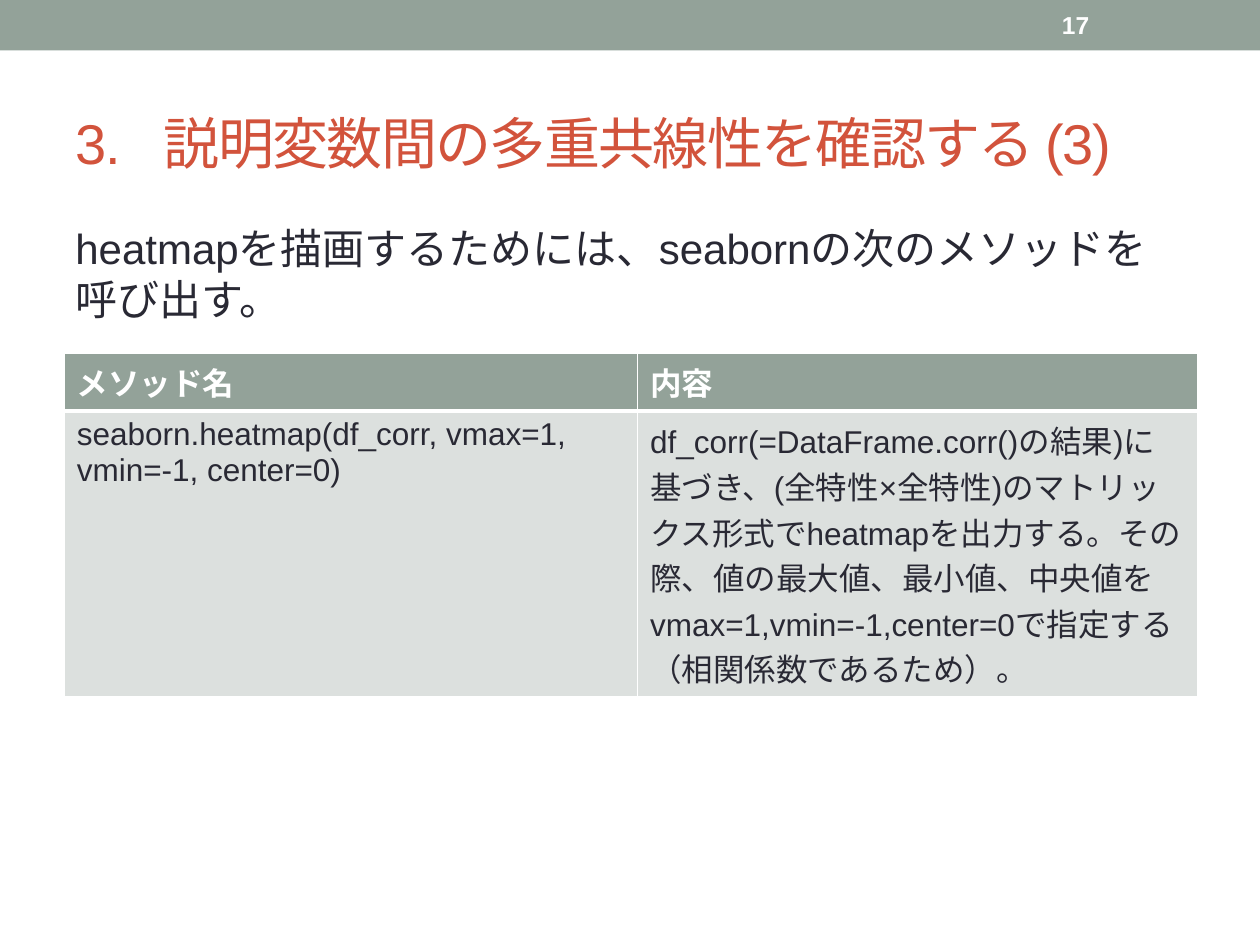
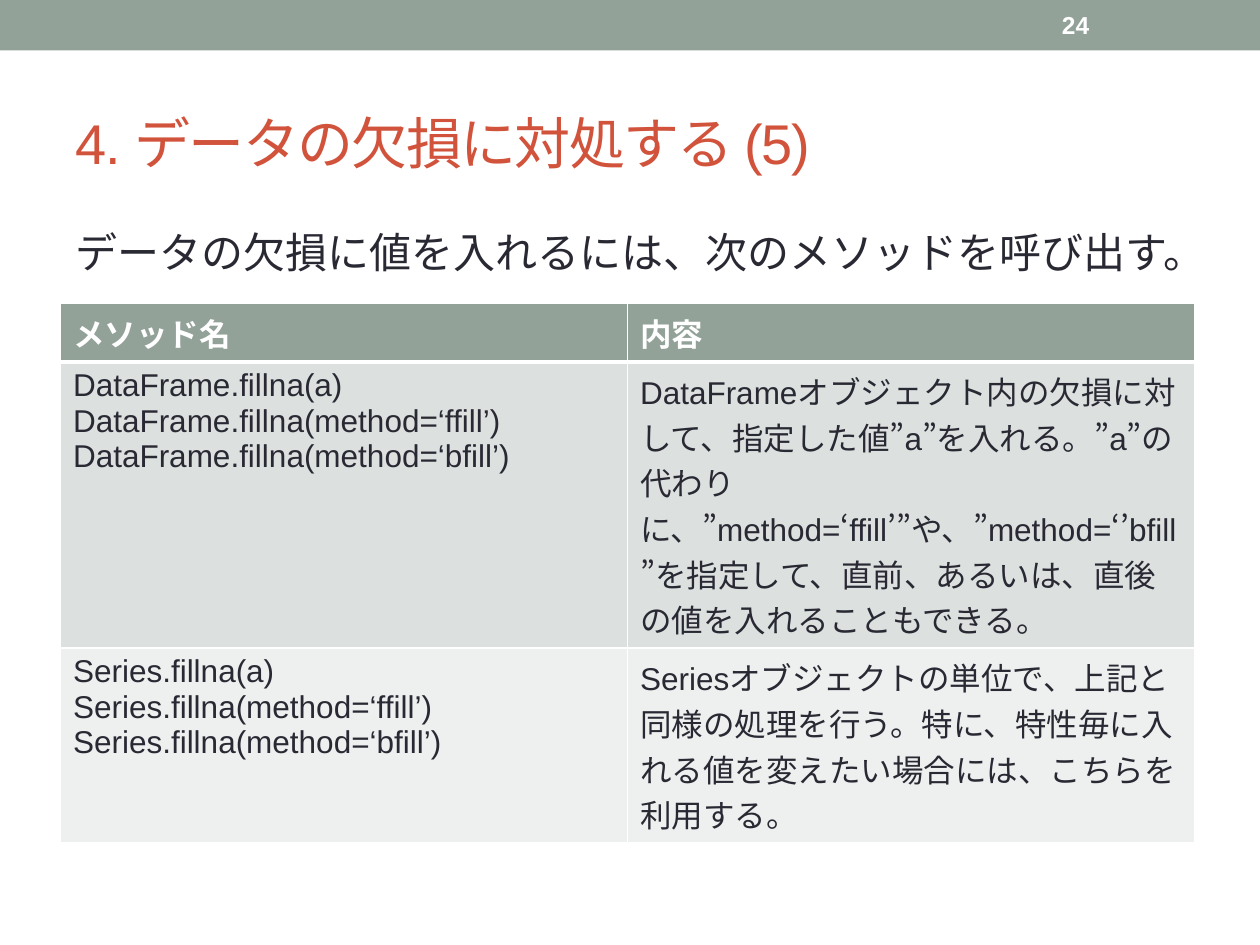
from lxml import etree
from pptx import Presentation, util as u
from pptx.dml.color import RGBColor
from pptx.enum import lang, shapes, text
from pptx.oxml.ns import qn

SAGE = RGBColor(0x93, 0xA2, 0x99)
RUST = RGBColor(0xD2, 0x53, 0x3C)
INK = RGBColor(0x29, 0x29, 0x34)
WHITE = RGBColor(0xFF, 0xFF, 0xFF)
ROWS = [RGBColor(0xDC, 0xE0, 0xDE), RGBColor(0xEE, 0xF0, 0xEF)]

HEAD = ["メソッド名", "内容"]
PAGES = [
    dict(
        num="17",
        title="3.\t説明変数間の多重共線性を確認する (3)",
        lead="heatmapを描画するためには、seabornの次のメソッドを呼び出す。",
        top=1.72, grid=(0.51, 2.8), cols=[4.55, 4.45], rows=[0.41, 1.17],
        body=[[
            ["seaborn.heatmap(df_corr, vmax=1, vmin=-1, center=0)"],
            ["df_corr(=DataFrame.corr()の結果)に基づき、(全特性×全特性)の"
             "マトリックス形式でheatmapを出力する。その際、値の最大値、最小値、"
             "中央値をvmax=1,vmin=-1,center=0で指定する（相関係数であるため）。"],
        ]],
    ),
    dict(
        num="24",
        title="4. データの欠損に対処する (5)",
        lead="データの欠損に値を入れるには、次のメソッドを呼び出す。",
        top=1.75, grid=(0.48, 2.41), cols=[4.5, 4.5], rows=[0.3, 0.88, 0.88],
        body=[
            [[f"{kind}.fillna(a)",
              f"{kind}.fillna(method=‘ffill’) {kind}.fillna(method=‘bfill’)"],
             [note]]
            for kind, note in [
                ("DataFrame",
                 "DataFrameオブジェクト内の欠損に対して、指定した値”a”を入れる。"
                 "”a”の代わりに、”method=‘ffill’”や、”method=‘’bfill”を指定して、"
                 "直前、あるいは、直後の値を入れることもできる。"),
                ("Series",
                 "Seriesオブジェクトの単位で、上記と同様の処理を行う。特に、"
                 "特性毎に入れる値を変えたい場合には、こちらを利用する。"),
            ]
        ],
    ),
]

LEFT, WIDE = 0.5, 9
TAB = 0.7
FORMS = dict(
    title=dict(size=u.Pt(32), color=RUST, bold=False),
    lead=dict(size=u.Pt(24), color=INK, bold=False),
    num=dict(size=u.Pt(14), color=WHITE, bold=True),
    head=dict(size=u.Pt(18), color=WHITE, bold=True),
    cell=dict(size=u.Pt(18), color=INK, bold=False),
)


def write(frame, lines, form):
    for i, line in enumerate(lines):
        para = frame.paragraphs[0] if i == 0 else frame.add_paragraph()
        para.alignment = text.PP_ALIGN.LEFT
        run = para.add_run()
        run.text = line
        run.font.name = "Arial"
        run.font.language_id = lang.MSO_LANGUAGE_ID.JAPANESE
        for key, val in FORMS[form].items():
            if key == "color":
                run.font.color.rgb = val
            else:
                setattr(run.font, key, val)


def set_up(frame, anchor):
    frame.word_wrap = True
    frame.auto_size = text.MSO_AUTO_SIZE.NONE
    frame.vertical_anchor = anchor


def add_box(slide, area, line, form, anchor):
    frame = slide.shapes.add_textbox(*map(u.Inches, area)).text_frame
    set_up(frame, anchor)
    write(frame, [line], form)


def add_band(slide):
    band = slide.shapes.add_shape(
        shapes.MSO_SHAPE.RECTANGLE, 0, 0, u.Inches(10), u.Inches(0.4))
    band.shadow.inherit = False
    band.fill.solid()
    band.fill.fore_color.rgb = SAGE
    band.line.fill.background()


def add_title(slide, line):
    title = slide.shapes.title
    for key, val in dict(left=LEFT, top=0.59, width=WIDE, height=1.08).items():
        setattr(title, key, u.Inches(val))
    frame = title.text_frame
    set_up(frame, text.MSO_ANCHOR.MIDDLE)
    props = frame.paragraphs[0]._p.get_or_add_pPr()
    tabs = etree.SubElement(props, qn("a:tabLst"))
    etree.SubElement(tabs, qn("a:tab"), pos=str(u.Inches(TAB)), algn="l")
    write(frame, [line], "title")
    frame.paragraphs[0].runs[0]._r.get_or_add_rPr().set("spc", "-100")


def edge(cell, base):
    props = cell._tc.get_or_add_tcPr()
    for side, wide in dict(L=1, R=1, T=1, B=base).items():
        line = etree.SubElement(props, qn(f"a:ln{side}"), w=str(u.Pt(wide)))
        fill = etree.SubElement(line, qn("a:solidFill"))
        etree.SubElement(fill, qn("a:srgbClr"), val=str(WHITE))


def add_grid(slide, page):
    data = [[[name] for name in HEAD]] + page["body"]
    size = sum(page["cols"]), sum(page["rows"])
    table = slide.shapes.add_table(
        len(data), len(HEAD), *map(u.Inches, page["grid"] + size)).table
    for col, wide in zip(table.columns, page["cols"]):
        col.width = u.Inches(wide)
    for row, high in zip(table.rows, page["rows"]):
        row.height = u.Inches(high)
    for r, line in enumerate(data):
        for c, parts in enumerate(line):
            cell = table.cell(r, c)
            edge(cell, 1 if r else 3)
            cell.fill.solid()
            cell.fill.fore_color.rgb = ROWS[(r - 1) % 2] if r else SAGE
            write(cell.text_frame, parts, "cell" if r else "head")


def main():
    deck = Presentation()
    deck.slide_width, deck.slide_height = u.Inches(10), u.Inches(7.5)
    for page in PAGES:
        slide = deck.slides.add_slide(deck.slide_layouts[5])
        add_band(slide)
        add_title(slide, page["title"])
        add_box(slide, (LEFT, page["top"], WIDE, 5.33), page["lead"],
                "lead", text.MSO_ANCHOR.TOP)
        add_box(slide, (8.33, 0.02, 1.17, 0.36), page["num"],
                "num", text.MSO_ANCHOR.MIDDLE)
        add_grid(slide, page)
    deck.save("out.pptx")


if __name__ == "__main__":
    main()
